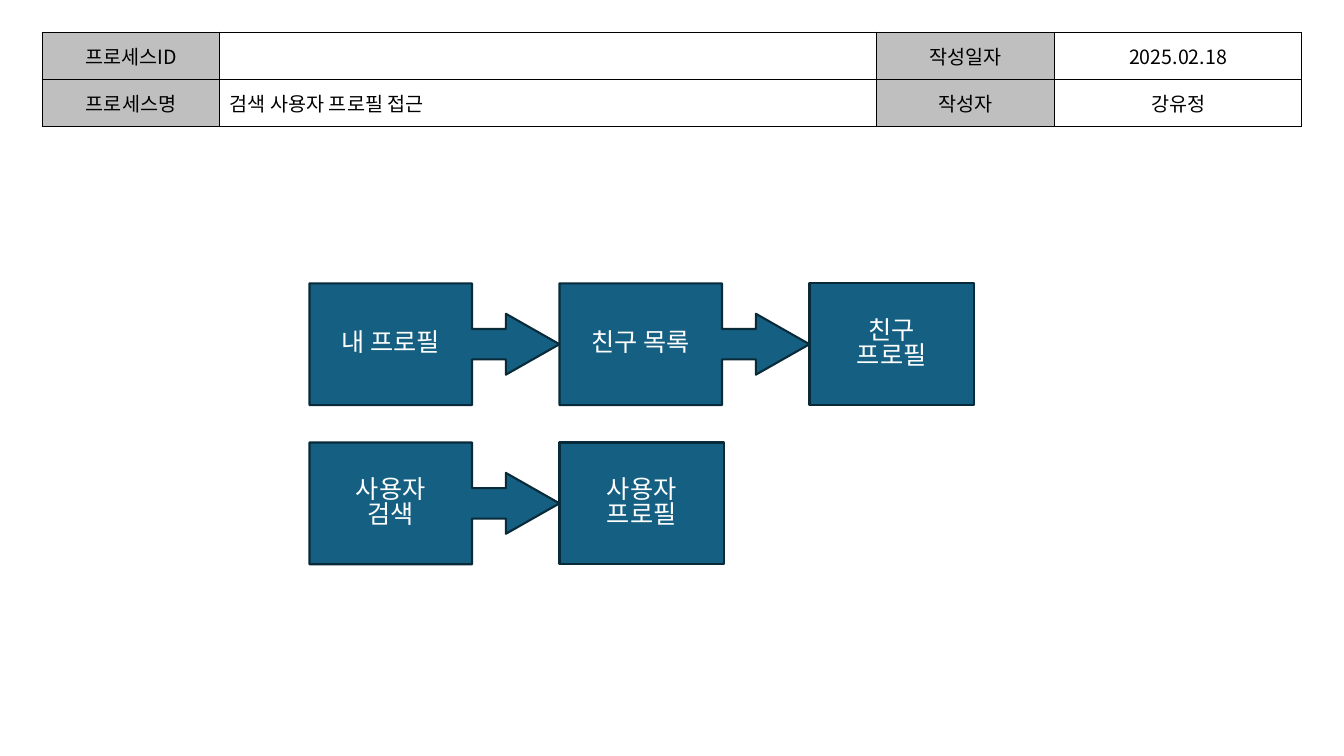
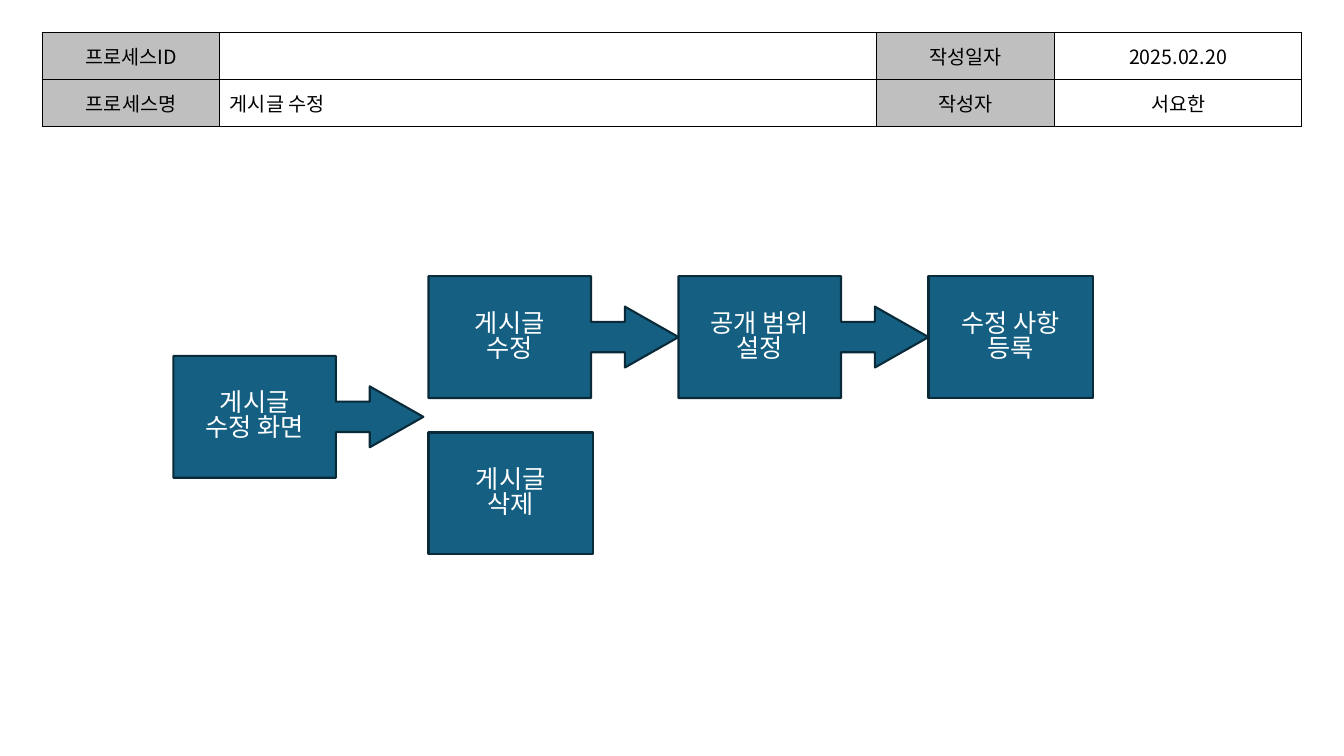
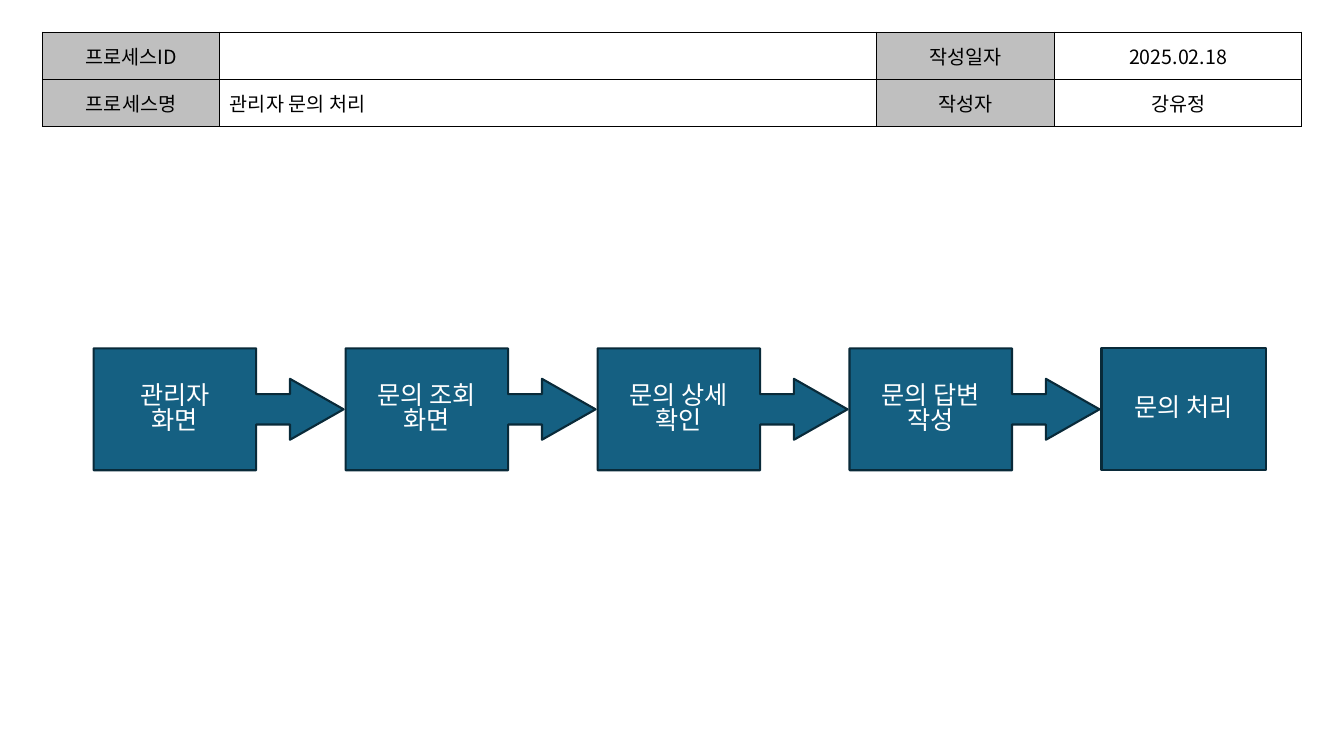
import lxml.etree
import pptx
import pptx.dml.color
import pptx.enum.shapes
import pptx.enum.text
import pptx.oxml.ns
import pptx.util

Cm = pptx.util.Cm
Pt = pptx.util.Pt
qn = pptx.oxml.ns.qn
Shape = pptx.enum.shapes.MSO_SHAPE
Align = pptx.enum.text.PP_ALIGN
Anchor = pptx.enum.text.MSO_ANCHOR

FONT = "Noto Sans CJK KR"
BLACK, WHITE, GREY = "000000", "FFFFFF", "BFBFBF"
BLUE, NAVY = "156082", "092A39"

COLS = 4.47, 16.54, 4.5, 6.22
ROWS = 1.19, 1.19, 14.94
STEP_W, STEP_H, END_W = 6.3, 3.07, 4.14


def tint(hue):
    return pptx.dml.color.RGBColor.from_string(hue)


def write(frame, text, size, hue, align, pitch=1.0):
    frame.text = text
    for para in frame.paragraphs:
        para.alignment = align
        para.line_spacing = pitch
        for run in para.runs:
            run.font.size = Pt(size)
            run.font.name = FONT
            run.font.color.rgb = tint(hue)
            props = run._r.get_or_add_rPr()
            lxml.etree.SubElement(props, qn("a:ea"), typeface=FONT)


def edge(cell, sides):
    """Draw black lines on the named sides (L, R, T, B) and clear the rest."""
    props = cell._tc.get_or_add_tcPr()
    for spot, side in enumerate("LRTB"):
        line = lxml.etree.Element(qn("a:ln" + side), w=str(Pt(1)))
        if side in sides:
            fill = lxml.etree.SubElement(line, qn("a:solidFill"))
            lxml.etree.SubElement(fill, qn("a:srgbClr"), val=BLACK)
        else:
            lxml.etree.SubElement(line, qn("a:noFill"))
        props.insert(spot, line)


def sheet(slide, left, top, name, date, author):
    """Process form: two header rows above one wide, empty body row."""
    table = slide.shapes.add_table(
        len(ROWS), len(COLS), Cm(left), Cm(top), Cm(sum(COLS)), Cm(sum(ROWS))
    ).table
    table.first_row = table.horz_banding = False
    for col, width in zip(table.columns, COLS):
        col.width = Cm(width)
    for row, height in zip(table.rows, ROWS):
        row.height = Cm(height)

    texts = (
        ("프로세스ID", "", "작성일자", date),
        ("프로세스명", name, "작성자", author),
        ("",) * len(COLS),
    )
    body = len(ROWS) - 1
    table.cell(body, 0).merge(table.cell(body, len(COLS) - 1))
    for r, line in enumerate(texts):
        for c, text in enumerate(line):
            cell = table.cell(r, c)
            cell.vertical_anchor = Anchor.MIDDLE
            if r < body and c % 2 == 0:
                cell.fill.solid()
                cell.fill.fore_color.rgb = tint(GREY)
            else:
                cell.fill.background()
            edge(cell, "LRTB" if r < body else "T")
            if text:
                align = Align.LEFT if c == 1 else Align.CENTER
                write(cell.text_frame, text, 14, BLACK, align)


def step(slide, left, top, text, end=False):
    """One box, with an arrow on its right unless it is the end."""
    kind = Shape.FLOWCHART_PROCESS if end else Shape.RIGHT_ARROW_CALLOUT
    width = END_W if end else STEP_W
    box = slide.shapes.add_shape(kind, Cm(left), Cm(top), Cm(width), Cm(STEP_H))
    if not end:
        for spot, value in enumerate((0.25, 0.25, 0.44, 0.65)):
            box.adjustments[spot] = value
    box.shadow.inherit = False
    box.fill.solid()
    box.fill.fore_color.rgb = tint(BLUE)
    box.line.color.rgb = tint(NAVY)
    box.line.width = Pt(1.5)
    box.text_frame.word_wrap = True
    box.text_frame.vertical_anchor = Anchor.MIDDLE
    write(box.text_frame, text, 18, WHITE, Align.CENTER, 0.83)


def flow(slide, left, top, texts, gap=0):
    """A row of steps that closes with an end box."""
    for spot, text in enumerate(texts):
        x = left + spot * (STEP_W + gap)
        step(slide, x, top, text, spot == len(texts) - 1)


def page(deck, name, date, author):
    slide = deck.slides.add_slide(deck.slide_layouts[6])
    sheet(slide, 1.07, 0.81, name, date, author)
    return slide


def main():
    deck = pptx.Presentation()
    deck.slide_width, deck.slide_height = Cm(33.87), Cm(19.05)

    slide = page(deck, "검색 사용자 프로필 접근", "2025.02.18", "강유정")
    flow(slide, 7.8, 7.14, ("내 프로필", "친구 목록", "친구\n프로필"))
    flow(slide, 7.8, 11.15, ("사용자\n검색", "사용자\n프로필"))

    slide = page(deck, "게시글 수정", "2025.02.20", "서요한")
    step(slide, 4.37, 8.97, "게시글\n수정 화면")
    flow(slide, 10.8, 6.96, ("게시글\n수정", "공개 범위\n설정", "수정 사항\n등록"))
    step(slide, 10.8, 10.9, "게시글\n삭제", end=True)

    slide = page(deck, "관리자 문의 처리", "2025.02.18", "강유정")
    texts = (
        "관리자\n화면",
        "문의 조회\n화면",
        "문의 상세\n확인",
        "문의 답변\n작성",
        "문의 처리",
    )
    flow(slide, 2.36, 8.78, texts, gap=0.05)

    deck.save("out.pptx")


if __name__ == "__main__":
    main()
